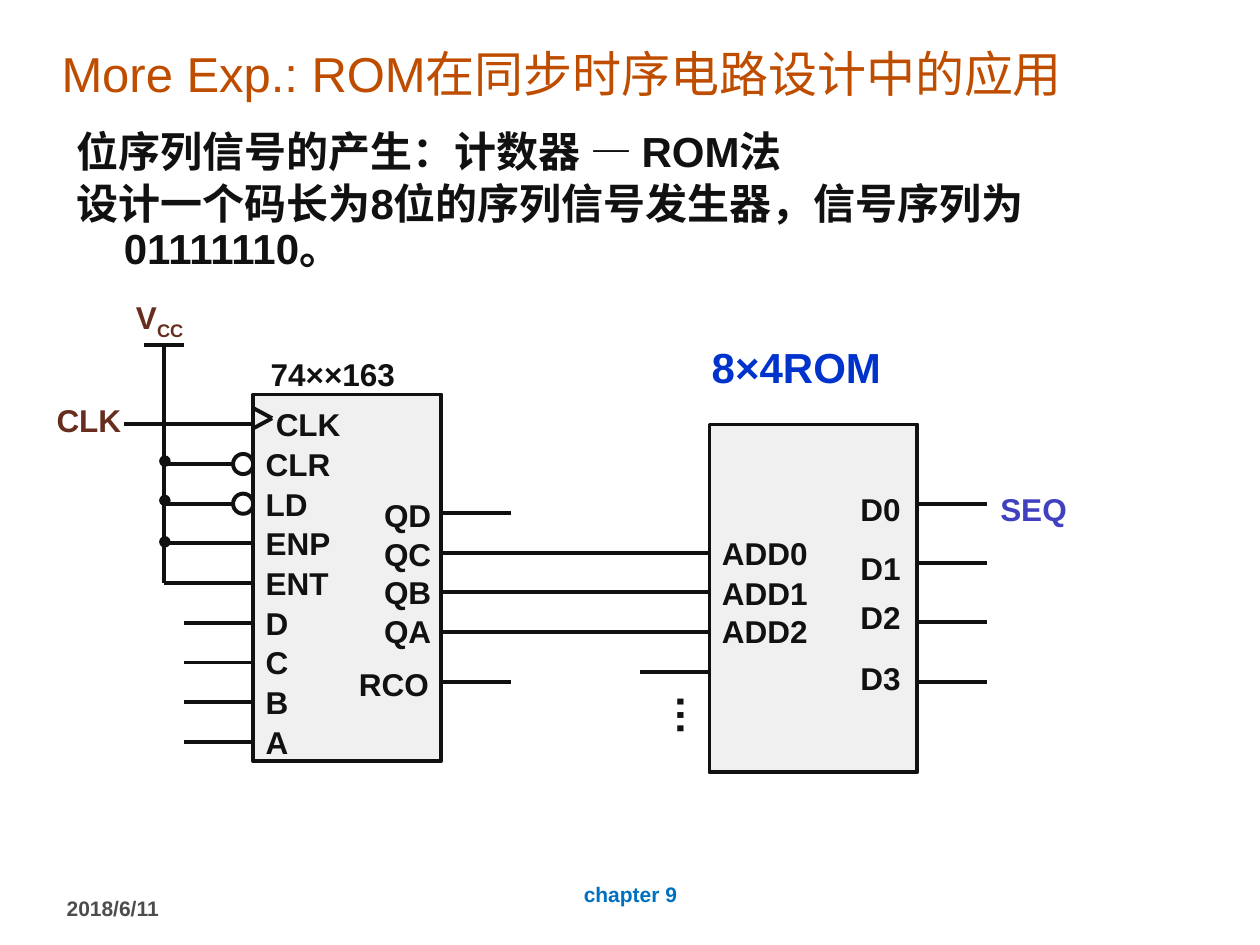
"""Build the slide showing a sequence generator made of a counter and a ROM."""
from dataclasses import dataclass

from lxml.etree import SubElement
from pptx import Presentation
from pptx.dml.color import RGBColor
from pptx.enum.shapes import MSO_CONNECTOR, MSO_SHAPE
from pptx.enum.text import MSO_ANCHOR, PP_ALIGN
from pptx.oxml.ns import qn
from pptx.util import Pt


@dataclass(frozen=True)
class Theme:
    font: str = "Arial"
    title_font: str = "Comic Neue"
    ink: str = "111111"
    title: str = "BF4D00"
    date: str = "4C4C4C"
    footer: str = "0070C0"
    chip: str = "F0F0F0"
    supply: str = "672E1F"
    output: str = "4040C0"
    rom: str = "0033CC"
    title_size: float = 28
    body_size: float = 24
    label_size: float = 18
    footer_size: float = 12
    wire: float = 2.25
    thin: float = 0.75


THEME = Theme()

TITLE = [("More Exp.: ROM", THEME.font), ("在同步时序电路设计中的应用", THEME.title_font)]
BODY = [
    "位序列信号的产生：计数器 — ROM法",
    "设计一个码长为8位的序列信号发生器，信号序列为01111110。",
]

COUNTER = (144.7, 225.4, 107.5, 209.5)
ROM = (405.4, 242.6, 118.8, 198.7)
STUB = 39.6
RAIL_X, RAIL_TOP = 93.6, 197.3
PIN_TOP, PIN_STEP = 242.5, 22.68
BUBBLE, DOT = 11.5, 5.8

INPUT_PINS = ["CLK", "CLR", "LD", "ENP", "ENT", "D", "C", "B", "A"]
WIRE_STARTS = {"CLK": 70.6, "CLR": RAIL_X, "LD": RAIL_X, "ENP": RAIL_X, "ENT": RAIL_X}
INVERTED_PINS = ["CLR", "LD"]
DOT_CENTERS = [263.5, 286, 309.6]

# name, wire y, label y, label x, reaches the ROM
COUNTER_OUTPUTS = [
    ("QD", 293, 294.5, 212.4, False),
    ("QC", 316, 316.8, 212.4, True),
    ("QB", 338.5, 338.4, 212.4, True),
    ("QA", 361.3, 360.7, 212.4, True),
    ("RCO", 389.5, 391, 198, False),
]
ROM_INPUTS = [("ADD0", 316.1), ("ADD1", 339.1), ("ADD2", 360.7)]
SPARE_INPUT_Y = 383.8
ROM_OUTPUTS = [("D0", 288, 290.9), ("D1", 321.8, 324.7), ("D2", 355.7, 352.8), ("D3", 389.5, 387.4)]
ROM_LABEL_X = 484.6


def color(value):
    return RGBColor.from_string(value)


def style(font, size, tint, bold=True):
    font.name, font.size, font.bold = THEME.font, Pt(size), bold
    font.color.rgb = color(tint)


def add_text(slide, box, text, size, tint, anchor=MSO_ANCHOR.TOP, align=PP_ALIGN.LEFT):
    shape = slide.shapes.add_textbox(*map(Pt, box))
    frame = shape.text_frame
    frame.word_wrap, frame.vertical_anchor = True, anchor
    paragraph = frame.paragraphs[0]
    paragraph.text, paragraph.alignment = text, align
    style(paragraph.font, size, tint)
    return shape


def add_label(slide, x, center, text, tint=THEME.ink):
    box = (x, center - 14.4, 16 * len(text) + 12, 28.8)
    return add_text(slide, box, text, THEME.label_size, tint)


def add_wire(slide, x1, y1, x2, y2):
    wire = slide.shapes.add_connector(MSO_CONNECTOR.STRAIGHT, *map(Pt, (x1, y1, x2, y2)))
    wire.line.color.rgb, wire.line.width = color(THEME.ink), Pt(THEME.wire)
    SubElement(wire._element.spPr, qn("a:effectLst"))


def add_outline(slide, kind, box, fill=None, width=THEME.wire):
    shape = slide.shapes.add_shape(kind, *map(Pt, box))
    shape.shadow.inherit = False
    if fill:
        shape.fill.solid()
        shape.fill.fore_color.rgb = color(fill)
    else:
        shape.fill.background()
    shape.line.color.rgb, shape.line.width = color(THEME.ink), Pt(width)


def add_headings(slide):
    title = add_text(slide, (28.1, 19.4, 607.7, 44.6), "", THEME.title_size, THEME.title, MSO_ANCHOR.MIDDLE)
    for text, font in TITLE:
        run = title.text_frame.paragraphs[0].add_run()
        run.text = text
        style(run.font, THEME.title_size, THEME.title, False)
        run.font.name = font

    body = add_text(slide, (36.7, 71.3, 648, 107.3), BODY[0], THEME.body_size, THEME.ink)
    frame = body.text_frame
    for text in BODY[1:]:
        frame.add_paragraph().text = text
    for paragraph in frame.paragraphs:
        style(paragraph.font, THEME.body_size, THEME.ink)
        paragraph.line_spacing, paragraph.space_after = 0.9, Pt(4)
        properties = paragraph._p.get_or_add_pPr()
        properties.set("marL", str(Pt(27)))
        properties.set("indent", str(Pt(-27)))

    add_text(slide, (31, 508.3, 167.8, 20.9), "2018/6/11", THEME.footer_size, THEME.date, MSO_ANCHOR.MIDDLE)
    add_text(slide, (246.2, 493.2, 228.2, 36), "chapter 9", THEME.footer_size, THEME.footer,
             MSO_ANCHOR.MIDDLE, PP_ALIGN.CENTER)


def add_wires(slide):
    left, right = COUNTER[0], COUNTER[0] + COUNTER[2]
    rom_left, rom_right = ROM[0], ROM[0] + ROM[2]
    for index, name in enumerate(INPUT_PINS):
        y = PIN_TOP + index * PIN_STEP
        end = left
        if name in INVERTED_PINS:
            end -= BUBBLE
            add_outline(slide, MSO_SHAPE.OVAL, (end, y - BUBBLE / 2, BUBBLE, BUBBLE))
        add_wire(slide, WIRE_STARTS.get(name, left - STUB), y, end, y)
    for _, y, _, _, reaches_rom in COUNTER_OUTPUTS:
        add_wire(slide, right, y, rom_left if reaches_rom else right + STUB, y)
    add_wire(slide, rom_left - STUB, SPARE_INPUT_Y, rom_left, SPARE_INPUT_Y)
    for _, y, _ in ROM_OUTPUTS:
        add_wire(slide, rom_right, y, rom_right + STUB, y)

    add_wire(slide, RAIL_X, RAIL_TOP, RAIL_X, PIN_TOP + INPUT_PINS.index("ENT") * PIN_STEP)
    add_wire(slide, RAIL_X - 11.5, RAIL_TOP, RAIL_X + 11.5, RAIL_TOP)
    for center in DOT_CENTERS:
        box = (RAIL_X + 0.6 - DOT / 2, center - DOT / 2, DOT, DOT)
        add_outline(slide, MSO_SHAPE.OVAL, box, THEME.ink, THEME.thin)


def add_chips(slide):
    left = COUNTER[0]
    for box in (COUNTER, ROM):
        add_outline(slide, MSO_SHAPE.RECTANGLE, box, THEME.chip)
    for side in (-5.8, 5.8):
        add_wire(slide, left, 239 + side, left + 10.8, 239)
    for index, name in enumerate(INPUT_PINS):
        add_label(slide, left + (5.8 if name == "CLK" else 0), PIN_TOP + index * PIN_STEP, name)
    for name, _, center, x, _ in COUNTER_OUTPUTS:
        add_label(slide, x, center, name)
    for name, center in ROM_INPUTS:
        add_label(slide, ROM[0], center, name)
    for name, _, center in ROM_OUTPUTS:
        add_label(slide, ROM_LABEL_X, center, name)


def add_captions(slide):
    add_label(slide, 147.6, 213.8, "74××163")
    add_label(slide, 25.2, 239.8, "CLK", THEME.supply)
    add_label(slide, 564.5, 290.9, "SEQ", THEME.output)
    add_text(slide, (399.6, 191.5, 136.1, 36), "8×4ROM", THEME.body_size, THEME.rom)

    supply = add_text(slide, (70.6, 167, 56.9, 28.8), "V", THEME.label_size, THEME.supply)
    subscript = supply.text_frame.paragraphs[0].add_run()
    subscript.text = "CC"
    subscript.font._element.set("baseline", "-25000")

    dots = add_text(slide, (371.5, 389.5, 43.2, 39.6), "…", THEME.body_size, THEME.ink)
    dots.text_frame._txBody.bodyPr.set("vert", "eaVert")


def main():
    presentation = Presentation()
    presentation.slide_width, presentation.slide_height = Pt(720), Pt(540)
    slide = presentation.slides.add_slide(presentation.slide_layouts[6])
    for add_part in (add_headings, add_wires, add_chips, add_captions):
        add_part(slide)
    presentation.save("out.pptx")


if __name__ == "__main__":
    main()
